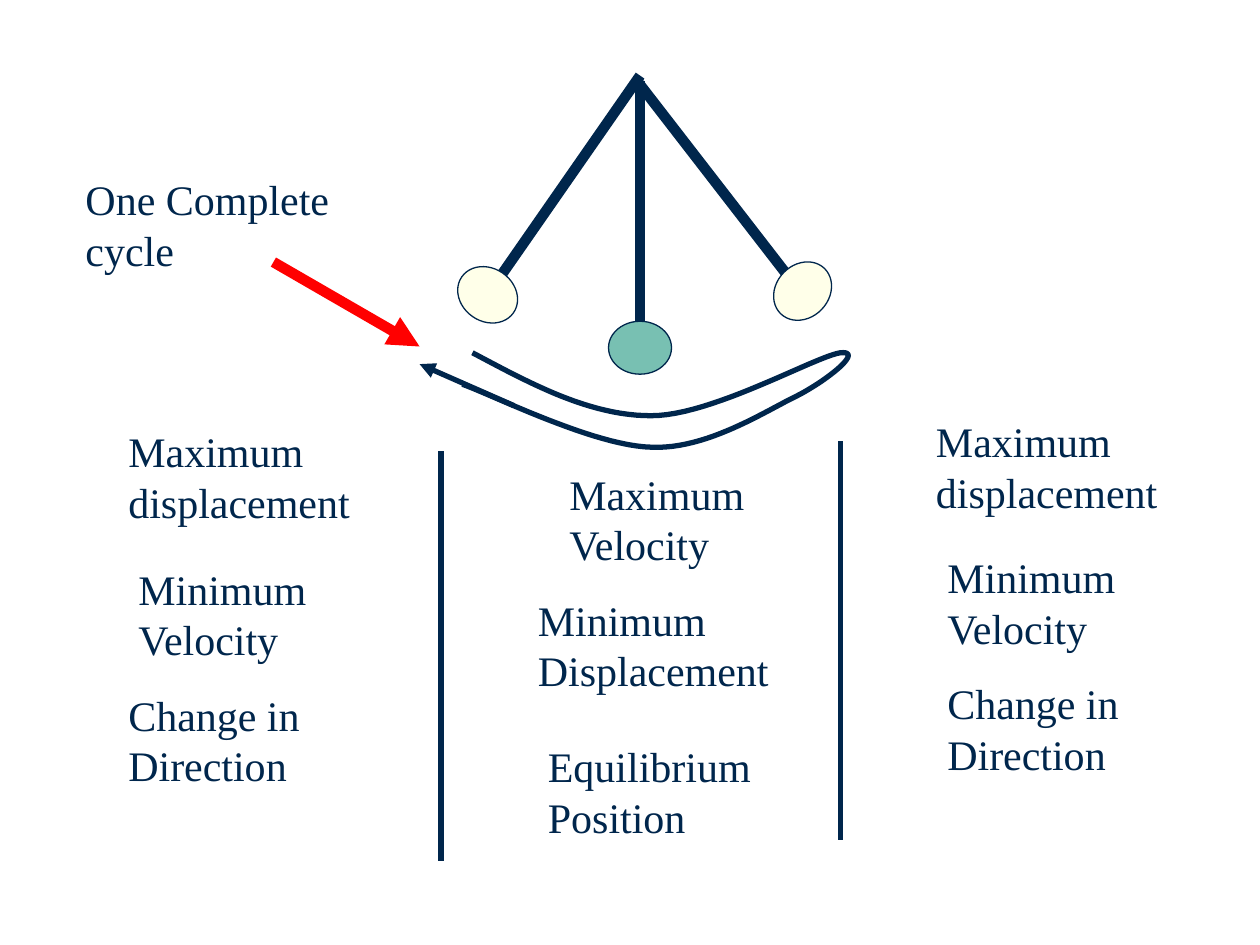
from pptx import Presentation
from pptx.dml.color import RGBColor
from pptx.enum.shapes import MSO_CONNECTOR as CONN, MSO_SHAPE as SHAPE
from pptx.enum.text import MSO_AUTO_SIZE as AUTO
from pptx.oxml.ns import qn
from pptx.util import Inches, Pt
from lxml.etree import SubElement

COLORS = {"navy": "00264C", "teal": "78C0B2", "cream": "FFFFE9", "red": "FF0000"}
BOB_SIZE = (0.5, 0.42)
BOX_HEIGHT = 0.9
CURVE_STEPS = 24

# Bob: left, top, rotation
SIDE_BOBS = [(3.62, 2.13, 34.8), (6.12, 2.1, 313.8)]
SIDE_STRINGS = [((5.08, 0.6), (3.94, 2.24)), ((6.23, 2.16), (5.07, 0.66))]
DIVIDERS = [((3.5, 3.58), (3.5, 6.83)), ((6.67, 3.5), (6.67, 6.67))]

# Swing path: start, then two control points and an end point per curve
SWING_START = (3.75, 2.8)
SWING_CURVES = [
    ((4.22, 3.05), (4.68, 3.3), (5.17, 3.3)),
    ((5.65, 3.3), (6.47, 2.83), (6.67, 2.8)),
    ((6.86, 2.78), (6.58, 3.01), (6.33, 3.14)),
    ((6.08, 3.26), (5.61, 3.57), (5.17, 3.55)),
    ((4.72, 3.54), (3.92, 3.14), (3.67, 3.05)),
]

# Label: text, left, top, width
LABELS = [
    ("One Complete cycle", 0.58, 1.33, 2.17),
    ("Maximum displacement", 0.92, 3.33, 2.08),
    ("Minimum Velocity", 1, 4.42, 1.67),
    ("Change in Direction", 0.92, 5.42, 2),
    ("Maximum Velocity", 4.42, 3.67, 1.67),
    ("Minimum Displacement", 4.17, 4.67, 2.08),
    ("Equilibrium Position", 4.25, 5.83, 1.83),
    ("Maximum displacement", 7.33, 3.25, 2.08),
    ("Minimum Velocity", 7.42, 4.33, 1.67),
    ("Change in Direction", 7.42, 5.33, 2),
]


def bezier_points(start, curves):
    """Return points along a chain of cubic Bezier curves, in EMU."""
    points = [start]
    for c1, c2, end in curves:
        for i in range(1, CURVE_STEPS + 1):
            t = i / CURVE_STEPS
            u = 1 - t
            points.append(tuple(
                u**3 * a + 3 * u**2 * t * b + 3 * u * t**2 * c + t**3 * d
                for a, b, c, d in zip(start, c1, c2, end)))
        start = end
    return [(Inches(x), Inches(y)) for x, y in points]


class PendulumSlide:
    font = "Times New Roman"
    size = Pt(24)

    def __init__(self, slide):
        self.shapes = slide.shapes

    def color(self, name):
        return RGBColor.from_string(COLORS[name])

    def outline(self, s, color, width):
        s.line.color.rgb = self.color(color)
        s.line.width = Pt(width)

    def line(self, start, end, width, color="navy", arrow=False, parent=None):
        shapes = parent.shapes if parent else self.shapes
        ends = [Inches(v) for v in (*start, *end)]
        s = shapes.add_connector(CONN.STRAIGHT, *ends)
        self.outline(s, color, width)
        if arrow:
            SubElement(s.line._get_or_add_ln(), qn("a:tailEnd"), type="triangle")
        SubElement(s._element.spPr, qn("a:effectLst"))

    def bob(self, left, top, fill, rotation=0, parent=None):
        shapes = parent.shapes if parent else self.shapes
        box = [Inches(v) for v in (left, top, *BOB_SIZE)]
        s = shapes.add_shape(SHAPE.OVAL, *box)
        s.rotation = rotation
        s.shadow.inherit = False
        s.fill.solid()
        s.fill.fore_color.rgb = self.color(fill)
        self.outline(s, "navy", 0.75)

    def curve(self, start, curves, width):
        points = bezier_points(start, curves)
        builder = self.shapes.build_freeform(*points[0])
        builder.add_line_segments(points[1:], close=False)
        s = builder.convert_to_shape()
        s.shadow.inherit = False
        s.fill.background()
        self.outline(s, "navy", width)

    def label(self, text, left, top, width):
        box = [Inches(v) for v in (left, top, width, BOX_HEIGHT)]
        tf = self.shapes.add_textbox(*box).text_frame
        tf.word_wrap = True
        tf.auto_size = AUTO.SHAPE_TO_FIT_TEXT
        tf.text = text
        font = tf.paragraphs[0].runs[0].font
        font.name, font.size = self.font, self.size
        font.color.rgb = self.color("navy")


def main():
    prs = Presentation()
    prs.slide_width, prs.slide_height = Inches(10), Inches(7.5)
    page = PendulumSlide(prs.slides.add_slide(prs.slide_layouts[6]))

    resting = page.shapes.add_group_shape()
    page.line((5.08, 0.64), (5.08, 2.64), 6, parent=resting)
    page.bob(4.83, 2.55, "teal", parent=resting)
    for (start, end), (left, top, rotation) in zip(SIDE_STRINGS, SIDE_BOBS):
        page.line(start, end, 6)
        page.bob(left, top, "cream", rotation)

    page.curve(SWING_START, SWING_CURVES, 3)
    page.line((4.08, 3.22), (3.33, 2.89), 3, arrow=True)

    for label in LABELS:
        page.label(*label)
    page.line((2.17, 2.08), (3.33, 2.75), 6, "red", arrow=True)
    for start, end in DIVIDERS:
        page.line(start, end, 3)

    prs.save("out.pptx")


if __name__ == "__main__":
    main()
